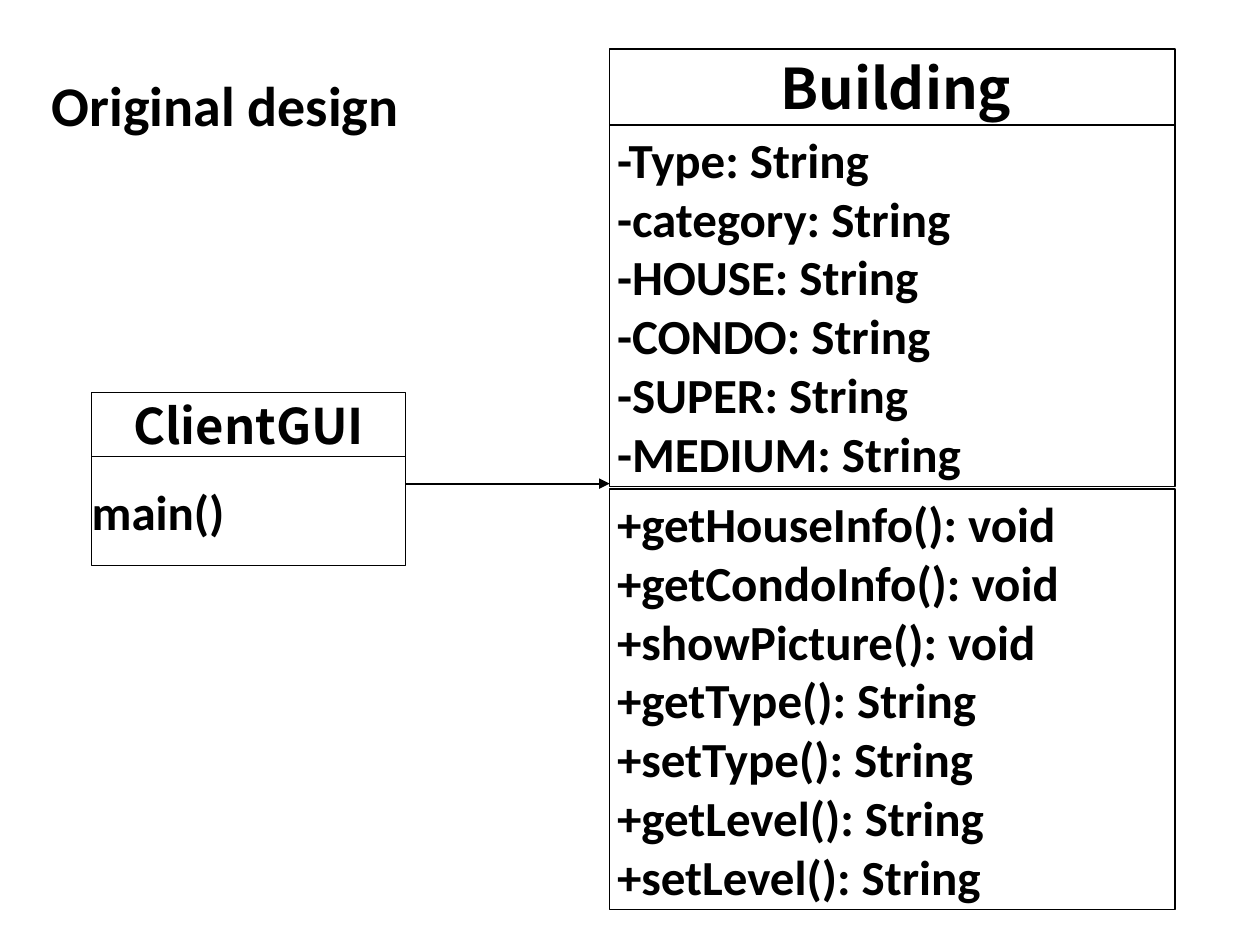
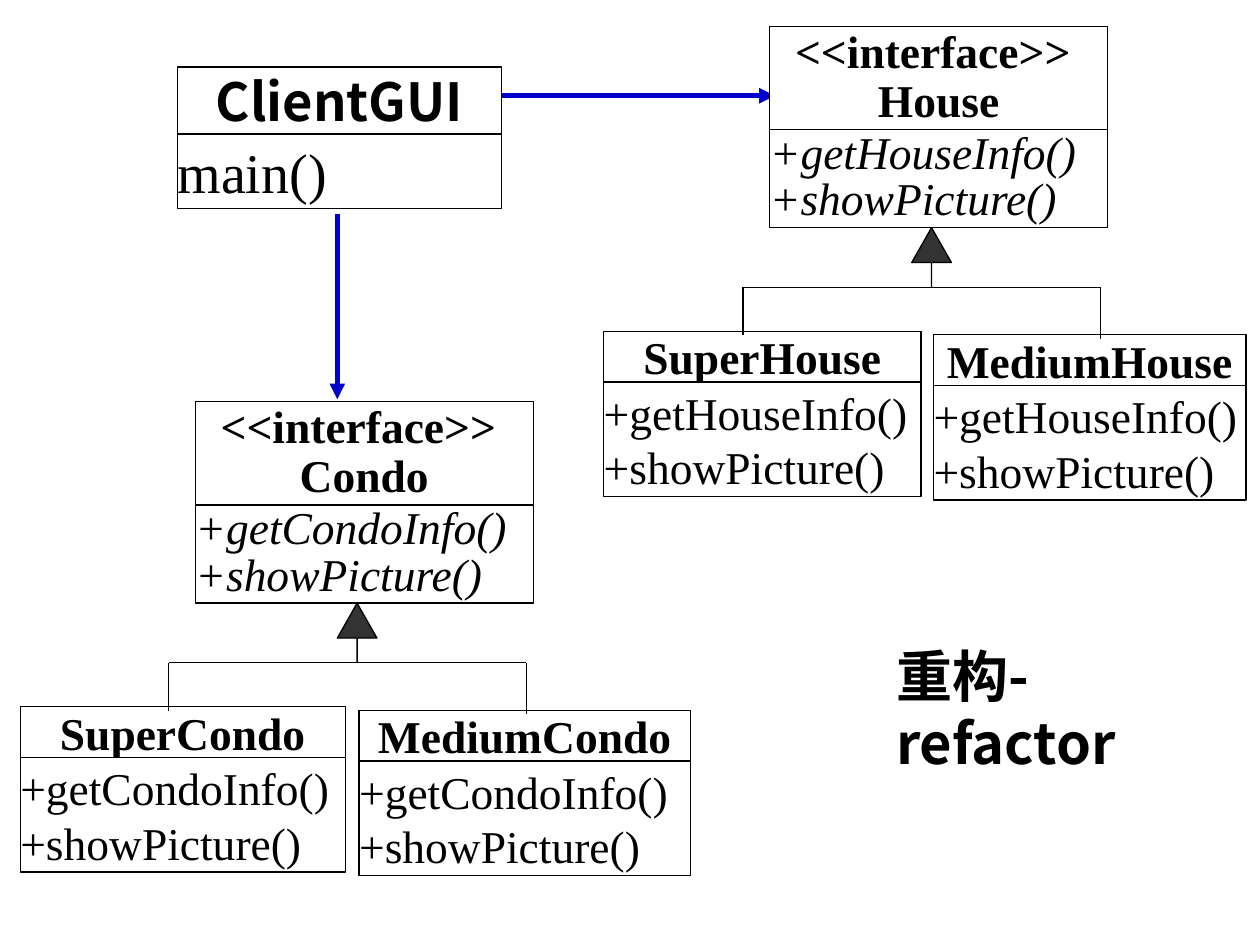
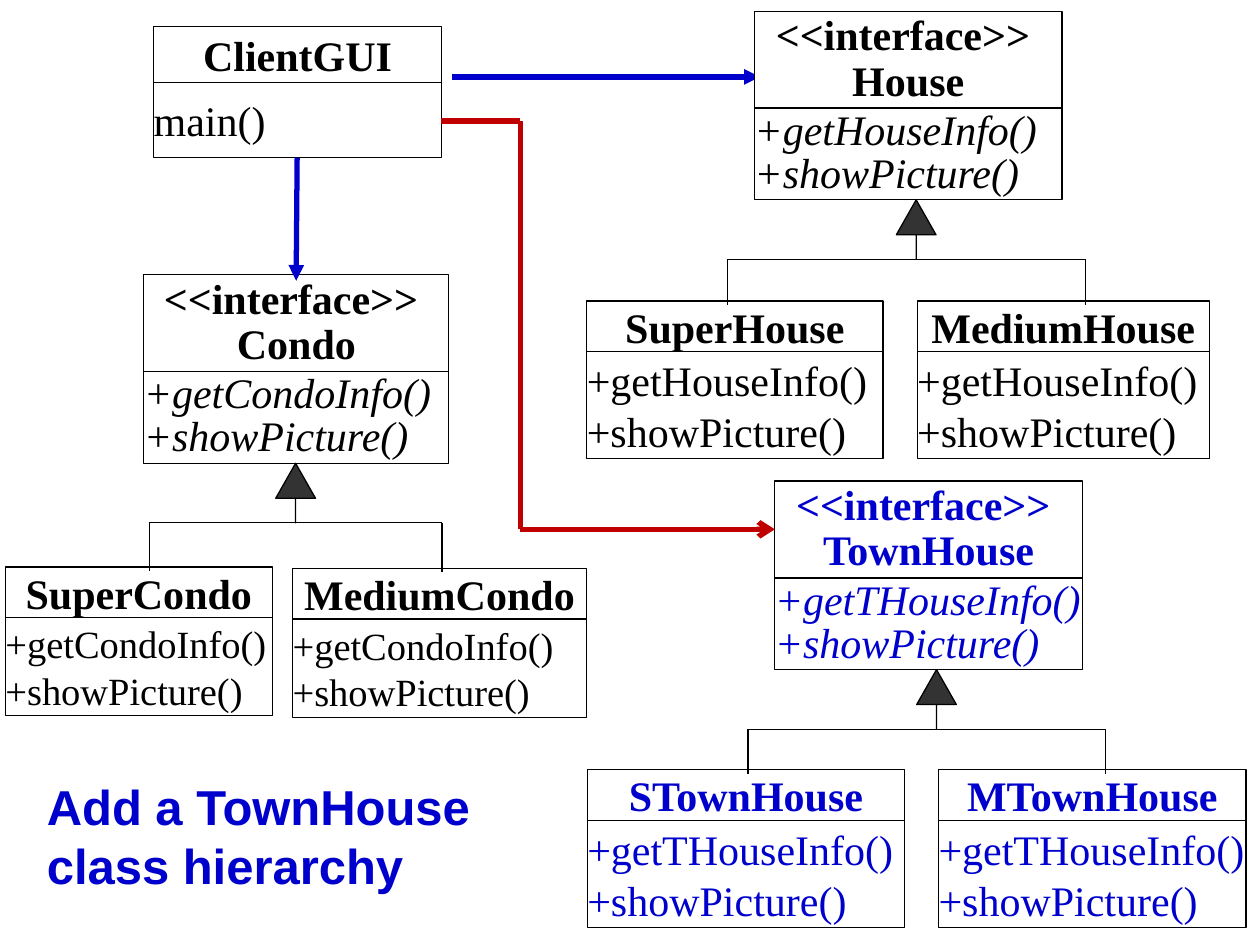
from lxml.etree import SubElement
from pptx import Presentation
from pptx.dml.color import RGBColor
from pptx.enum.shapes import MSO_CONNECTOR, MSO_SHAPE
from pptx.enum.text import MSO_ANCHOR, MSO_AUTO_SIZE, PP_ALIGN
from pptx.oxml.ns import qn
from pptx.util import Cm, Pt

BLACK = RGBColor(0x00, 0x00, 0x00)
WHITE = RGBColor(0xFF, 0xFF, 0xFF)
GRAY = RGBColor(0x33, 0x33, 0x33)
BLUE = RGBColor(0x00, 0x00, 0xCC)
RED = RGBColor(0xC0, 0x00, 0x00)
SERIF = "Times New Roman"
SANS = "Calibri"
HEAVY = "Noto Sans CJK SC"
TITLE_ONLY = 5
CHILD_HEAD = 1.02
INTERFACE_HEIGHTS = {26: (2.08, 1.98), 24: (1.95, 1.85)}
CHILD_BODY = {26: 2.31, 24: 2.16, 22: 1.98}


def write(tf, lines, size=24, font=SERIF, bold=False, italic=False, color=BLACK,
          align=PP_ALIGN.LEFT, spacing=1.0):
    """Fill a text frame with one formatted paragraph per line."""
    for i, line in enumerate(lines):
        p = tf.paragraphs[0] if i == 0 else tf.add_paragraph()
        p.alignment, p.line_spacing = align, spacing
        p.space_before = p.space_after = Pt(0)
        r = p.add_run()
        r.text = line
        r.font.name, r.font.size = font, Pt(size)
        r.font.bold, r.font.italic = bold, italic
        r.font.color.rgb = color
        SubElement(r._r.get_or_add_rPr(), qn("a:ea"), typeface=font)


def add_title(s, box, text, **fmt):
    """Move the title placeholder to its box and format it."""
    sp = s.shapes.title
    sp.left, sp.top, sp.width, sp.height = map(Cm, box)
    tf = sp.text_frame
    tf.word_wrap, tf.auto_size = True, MSO_AUTO_SIZE.NONE
    tf.vertical_anchor = MSO_ANCHOR.TOP
    write(tf, [text], bold=True, **fmt)


def add_shape(s, kind, box, fill):
    """Add a flat preset shape with a thin black outline."""
    sp = s.shapes.add_shape(kind, *map(Cm, box))
    sp.shadow.inherit = False
    sp.fill.solid()
    sp.fill.fore_color.rgb = fill
    sp.line.color.rgb, sp.line.width = BLACK, Pt(0.75)
    return sp


def add_line(s, x1, y1, x2, y2, color=BLACK, width=0.75, head=None):
    """Draw a straight line with an optional arrowhead at its end."""
    cxn = s.shapes.add_connector(MSO_CONNECTOR.STRAIGHT, *map(Cm, (x1, y1, x2, y2)))
    cxn.line.color.rgb, cxn.line.width = color, Pt(width)
    if head:
        SubElement(cxn.line._get_or_add_ln(), qn("a:tailEnd"), type=head)
    SubElement(cxn._element.spPr, qn("a:effectLst"))


def compartment(s, box, lines, inset=0, **fmt):
    """Draw one compartment of a class box."""
    tf = add_shape(s, MSO_SHAPE.RECTANGLE, box, WHITE).text_frame
    tf.word_wrap, tf.vertical_anchor = True, MSO_ANCHOR.MIDDLE
    tf.margin_left, tf.margin_right = Cm(inset), 0
    tf.margin_top = tf.margin_bottom = Cm(0.05)
    write(tf, lines, **fmt)


def class_box(s, box, heights, name, members, head, body):
    """Draw a class box: name compartment above members."""
    x, y, w = box
    head_height, body_height = heights
    compartment(s, (x, y, w, head_height), name, bold=True, align=PP_ALIGN.CENTER, **head)
    compartment(s, (x, y + head_height, w, body_height), members, **body)


def hierarchy(s, box, name, method, children, size, child_size=None, color=BLACK,
              apex=3.26, arms=(3.8, 3.41)):
    """Draw an interface, its subclasses and the inheritance tree."""
    x, y, w = box
    members = [f"+{method}()", "+showPicture()"]
    heights = INTERFACE_HEIGHTS[size]
    head = dict(size=size, color=color)
    class_box(s, box, heights, ["<<interface>> ", name], members,
              dict(head, spacing=0.9), dict(head, italic=True, spacing=0.85))
    child_size = child_size or size
    for child, dx, dy, width in children:
        class_box(s, (x + dx, y + dy, width), (CHILD_HEAD, CHILD_BODY[child_size]),
                  [child], members, head, dict(size=child_size, color=color))
    center, base = x + apex, y + sum(heights)
    bar = base + 1.2
    triangle = add_shape(s, MSO_SHAPE.UP_ARROW, (center - 0.4, base, 0.8, 1.2), GRAY)
    triangle.adjustments[0], triangle.adjustments[1] = 0, 0.88
    ends = center - arms[0], center + arms[1]
    add_line(s, ends[0], bar, ends[1], bar)
    for end, child in zip(ends, children):
        add_line(s, end, bar, end, y + child[2] + 0.08)


def original_slide(s):
    """Build the single-class design."""
    add_title(s, (0.79, 1.3, 8, 1.63), "Original design", size=32, font=SANS)
    bold = dict(size=28, font=SANS, bold=True)
    class_box(s, (1.85, 7.92, 6.32), (1.28, 2.2), ["ClientGUI"], ["main()"],
              dict(size=28, font=HEAVY), bold)
    fields = ["Type", "category", "HOUSE", "CONDO", "SUPER", "MEDIUM"]
    class_box(s, (12.29, 0.99, 11.4), (1.53, 7.29), ["Building"],
              [f"-{field}: String" for field in fields],
              dict(size=32, font=HEAVY, inset=0.15), dict(bold, inset=0.15))
    methods = ["getHouseInfo(): void", "getCondoInfo(): void", "showPicture(): void",
               "getType(): String", "setType(): String",
               "getLevel(): String", "setLevel(): String"]
    compartment(s, (12.29, 9.86, 11.4, 8.48), [f"+{m}" for m in methods], inset=0.15, **bold)
    add_line(s, 8.18, 9.75, 12.29, 9.75, width=1, head="triangle")


def refactor_slide(s):
    """Build the design with two interfaces."""
    add_title(s, (17.81, 12.8, 5.28, 3), "重构-refactor", size=32, font=HEAVY)
    add_line(s, 9.42, 1.93, 15.62, 1.93, BLUE, 3, "triangle")
    class_box(s, (3.58, 1.35, 6.53), (1.35, 1.5), ["ClientGUI"], ["main()"],
              dict(size=30, font=HEAVY), dict(size=32))
    hierarchy(s, (3.94, 8.1, 6.81), "Condo", "getCondoInfo",
              [("SuperCondo", -3.53, 6.15, 6.55), ("MediumCondo", 3.3, 6.22, 6.68)], 26)
    hierarchy(s, (15.52, 0.53, 6.81), "House", "getHouseInfo",
              [("SuperHouse", -3.35, 6.15, 6.4), ("MediumHouse", 3.3, 6.22, 6.3)], 26)
    add_line(s, 6.8, 4.32, 6.8, 8.05, BLUE, 3, "triangle")


def townhouse_slide(s):
    """Build the design with a third interface."""
    add_title(s, (0.69, 15.52, 10, 2.62), "Add a TownHouse class hierarchy",
              size=28, font="Arial", color=BLUE)
    add_line(s, 9.12, 1.55, 15.32, 1.55, BLUE, 3, "triangle")
    class_box(s, (3.1, 0.53, 5.8), (1.14, 1.5), ["ClientGUI"], ["main()"],
              dict(size=24), dict(size=24))
    hierarchy(s, (2.9, 5.54, 6.15), "Condo", "getCondoInfo",
              [("SuperCondo", -2.79, 5.89, 5.38), ("MediumCondo", 3, 5.92, 5.92)],
              24, child_size=22, apex=3.06, arms=(2.95, 2.95))
    hierarchy(s, (15.21, 0.23, 6.2), "House", "getHouseInfo",
              [("SuperHouse", -3.38, 5.84, 5.97), ("MediumHouse", 3.28, 5.84, 5.89)], 24)
    hierarchy(s, (15.62, 9.7, 6.2), "TownHouse", "getTHouseInfo",
              [("STownHouse", -3.78, 5.82, 6.4), ("MTownHouse", 3.3, 5.82, 6.2)],
              24, color=BLUE)
    add_line(s, 5.99, 3.18, 5.97, 5.66, BLUE, 3, "triangle")
    add_line(s, 8.89, 2.44, 10.49, 2.44, RED, 3)
    add_line(s, 10.49, 2.44, 10.49, 10.67, RED, 3)
    add_line(s, 10.49, 10.67, 15.62, 10.67, RED, 3, "arrow")


def main():
    """Build and save the presentation."""
    prs = Presentation()
    prs.slide_width, prs.slide_height = Cm(25.4), Cm(19.05)
    for build in (original_slide, refactor_slide, townhouse_slide):
        build(prs.slides.add_slide(prs.slide_layouts[TITLE_ONLY]))
    prs.save("out.pptx")


if __name__ == "__main__":
    main()
